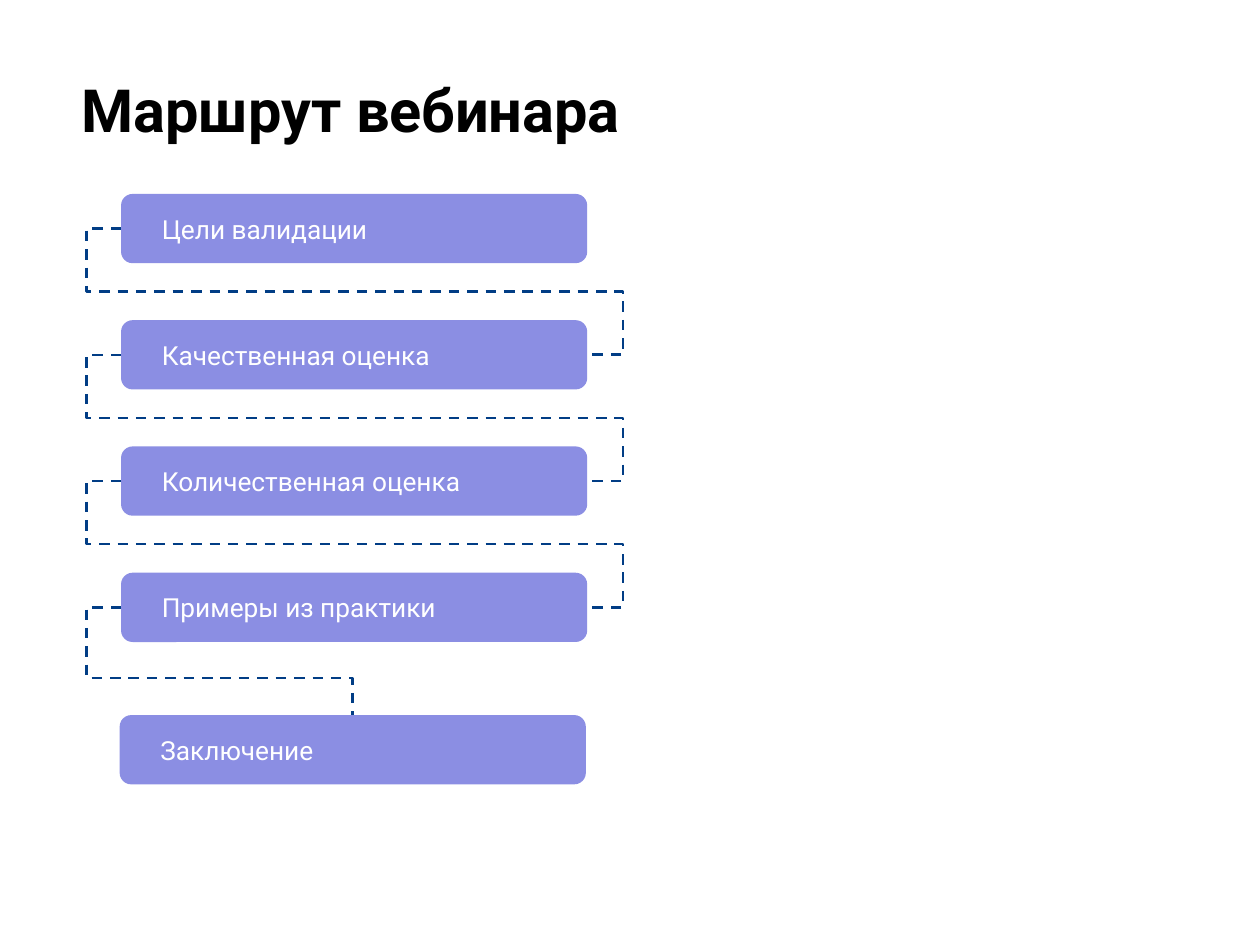
from pptx import Presentation
from pptx.dml.color import RGBColor
from pptx.enum.dml import MSO_LINE
from pptx.enum.shapes import MSO_SHAPE
from pptx.enum.text import MSO_ANCHOR, MSO_AUTO_SIZE
from pptx.util import Pt

TITLE = "Маршрут вебинара"
STEPS = ["Цели валидации", "Качественная оценка", "Количественная оценка",
         "Примеры из практики", "Заключение"]

THEME = {
    "font": "Roboto",
    "title": (34, True, RGBColor(0, 0, 0)),
    "label": (15, False, RGBColor(255, 255, 255)),
    "card": RGBColor(0x8B, 0x8E, 0xE3),
    "route": RGBColor(0x01, 0x3D, 0x85),
}
LEFT, TOP, WIDE, HIGH, PITCH = 69.2, 110.8, 266.4, 39.6, 72.15
LAST = (68.4, 408.6)
NEAR, FAR, END = 49.4, 356, 336.4
TURN = 387.4


def write(shapes, box, text, style, anchor, fit):
    """Add one line of styled text in a box."""
    area = shapes.add_textbox(*map(Pt, box))
    frame = area.text_frame
    form = {"word_wrap": True, "auto_size": fit, "vertical_anchor": anchor}
    form.update({f"margin_{side}": Pt(7.2)
                 for side in ("left", "right", "top", "bottom")})
    for name, value in form.items():
        setattr(frame, name, value)
    line = frame.paragraphs[0]
    line.text = text
    size, bold, color = THEME[style]
    font = line.runs[0].font
    for name, value in {"name": THEME["font"], "size": Pt(size),
                        "bold": bold}.items():
        setattr(font, name, value)
    font.color.rgb = color


def card(shapes, left, top, text):
    """Add a rounded step card with its label."""
    group = shapes.add_group_shape().shapes
    body = group.add_shape(MSO_SHAPE.ROUNDED_RECTANGLE,
                           *map(Pt, (left, top, WIDE, HIGH)))
    body.adjustments[0] = 0.167
    body.shadow.inherit = False
    body.fill.solid()
    body.fill.fore_color.rgb = THEME["card"]
    body.line.fill.background()
    write(group, (left + 16.2, top + 3.6, 234.7, 32.4), text, "label",
          MSO_ANCHOR.MIDDLE, MSO_AUTO_SIZE.SHAPE_TO_FIT_TEXT)


def route(shapes, points):
    """Add a dashed open path through the points."""
    start, *rest = [(Pt(x), Pt(y)) for x, y in points]
    pen = shapes.build_freeform(*start)
    pen.add_line_segments(rest, close=False)
    path = pen.convert_to_shape()
    path.shadow.inherit = False
    path.fill.background()
    path.line.color.rgb = THEME["route"]
    for name, value in {"width": Pt(1.5),
                        "dash_style": MSO_LINE.DASH}.items():
        setattr(path.line, name, value)


def main():
    """Build the webinar route slide."""
    deck = Presentation()
    deck.slide_width, deck.slide_height = Pt(720), Pt(540)
    shapes = deck.slides.add_slide(deck.slide_layouts[6]).shapes
    write(shapes, (39.6, 34.6, 671, 103), TITLE, "title",
          MSO_ANCHOR.TOP, MSO_AUTO_SIZE.NONE)

    count = len(STEPS) - 1
    spots = [(LEFT, TOP + i * PITCH) for i in range(count)] + [LAST]
    for spot, text in zip(spots, STEPS):
        card(shapes, *spot, text)

    mids = [top + HIGH / 2 for _, top in spots[:count]]
    for i, mid in enumerate(mids):
        if i < count - 1:
            turn, goal = mid + PITCH / 2, mids[i + 1]
            tail = [(FAR, turn), (FAR, goal), (END, goal)]
        else:
            turn, hub = TURN, LAST[0] + WIDE / 2
            tail = [(hub, turn), (hub, LAST[1])]
        route(shapes, [(LEFT, mid), (NEAR, mid), (NEAR, turn)] + tail)
    deck.save("out.pptx")


if __name__ == "__main__":
    main()
